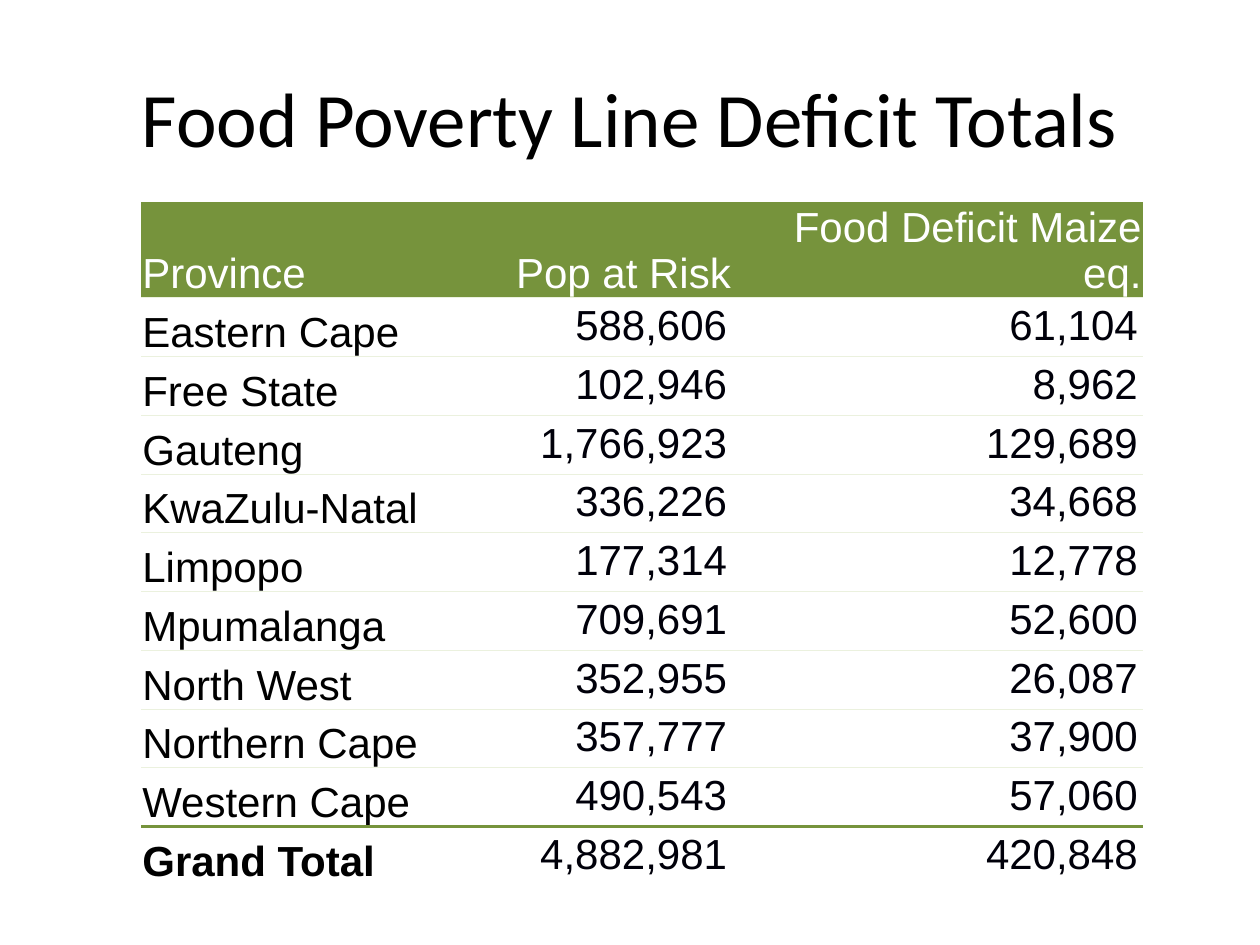
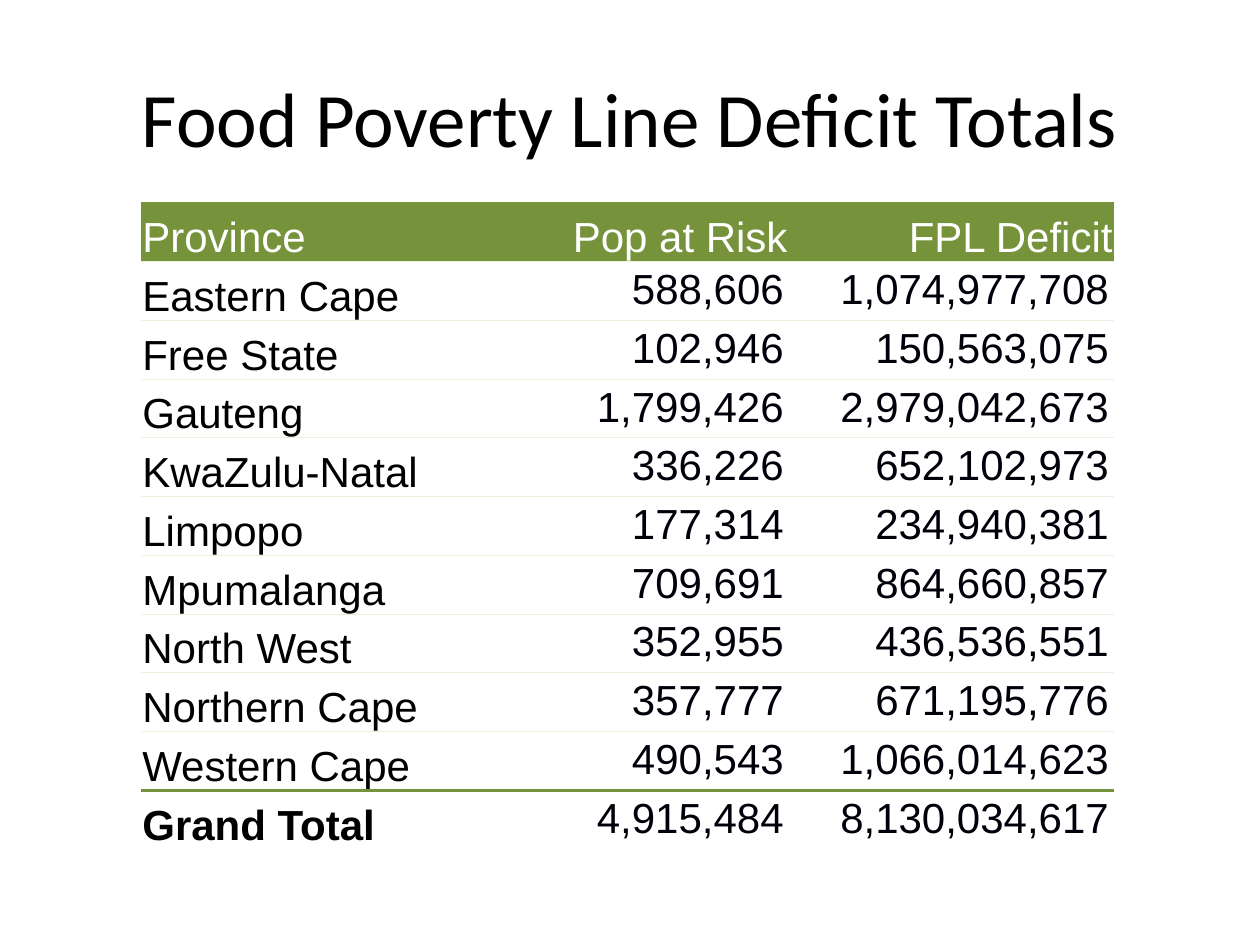
from dataclasses import dataclass

from lxml import etree
from pptx import Presentation
from pptx.dml.color import RGBColor
from pptx.enum.text import MSO_ANCHOR as ANCHOR, PP_ALIGN as ALIGN
from pptx.oxml.ns import qn
from pptx.util import Inches, Pt


@dataclass(frozen=True)
class Theme:
    title_font: str = "Calibri"
    table_font: str = "Arial"
    title_size: int = 44
    table_size: int = 24
    black: str = "000000"
    number: str = "00000A"
    white: str = "FFFFFF"
    green: str = "76933C"
    pale: str = "EBF1DE"
    hairline: float = 0.5
    rule: float = 2
    no_grid_style: str = "{2D5ABB26-0587-4C30-8999-92F81FD0307C}"


TITLE = "Food Poverty Line Deficit Totals"
PROVINCES = ["Eastern Cape", "Free State", "Gauteng", "KwaZulu-Natal", "Limpopo",
             "Mpumalanga", "North West", "Northern Cape", "Western Cape", "Grand Total"]

# Each slide: last column heading, column widths, population, deficit
SLIDES = [
    ("Food Deficit Maize eq.", (2.5, 2.19, 3.26),
     [588606, 102946, 1766923, 336226, 177314, 709691, 352955, 357777, 490543, 4882981],
     [61104, 8962, 129689, 34668, 12778, 52600, 26087, 37900, 57060, 420848]),
    ("FPL Deficit", (2.76, 2.38, 2.58),
     [588606, 102946, 1799426, 336226, 177314, 709691, 352955, 357777, 490543, 4915484],
     [1074977708, 150563075, 2979042673, 652102973, 234940381, 864660857, 436536551,
      671195776, 1066014623, 8130034617]),
]


def write(tf, text, *, font, size, color, align=ALIGN.LEFT, bold=False):
    p = tf.paragraphs[0]
    p.alignment = align
    r = p.add_run()
    r.text = text
    r.font.name, r.font.size, r.font.bold = font, Pt(size), bold
    r.font.color.rgb = RGBColor.from_string(color)


def set_border(cell, index, tag, color, width):
    """Add a solid border line; lines come first in the cell properties."""
    ln = etree.Element(qn(tag), w=str(Pt(width)))
    fill = etree.SubElement(ln, qn("a:solidFill"))
    etree.SubElement(fill, qn("a:srgbClr"), val=color)
    cell._tc.get_or_add_tcPr().insert(index, ln)


class Deck:
    def __init__(self, theme):
        self.theme = theme
        self.prs = Presentation()
        self.prs.slide_width, self.prs.slide_height = Inches(10), Inches(7.5)
        self.slide = None

    def add_slide(self, title):
        t = self.theme
        self.slide = self.prs.slides.add_slide(self.prs.slide_layouts[5])
        sp = self.slide.shapes.title
        sp.left, sp.top, sp.width, sp.height = map(Inches, (0, 0.3, 10, 1.25))
        sp.text_frame.vertical_anchor = ANCHOR.MIDDLE
        write(sp.text_frame, title, font=t.title_font, size=t.title_size,
              color=t.black, align=ALIGN.CENTER)

    def add_table(self, rows, widths):
        frame = self.slide.shapes.add_table(
            len(rows), len(widths), Inches(1.12), Inches(1.61),
            Inches(sum(widths)), Inches(5.13))
        table = frame.table
        table.first_row = table.horz_banding = False
        table._tbl.tblPr.find(qn("a:tableStyleId")).text = self.theme.no_grid_style
        for column, width in zip(table.columns, widths):
            column.width = Inches(width)
        for i, row in enumerate(rows):
            for j, text in enumerate(row):
                self.format_cell(table.cell(i, j), text, i, j, len(rows) - 1)

    def format_cell(self, cell, text, i, j, last):
        t = self.theme
        header, label = i == 0, j == 0
        # Headings and labels sit on the row's bottom edge, numbers hang from the top
        low = header or label
        cell.vertical_anchor = ANCHOR.BOTTOM if low else ANCHOR.TOP
        cell.margin_left = cell.margin_right = cell.margin_top = Inches(0.01 if low else 0.04)
        cell.margin_bottom = Inches(0 if low else 0.04)
        color = t.white if header else t.black if label else t.number
        write(cell.text_frame, text, font=t.table_font, size=t.table_size, color=color,
              align=ALIGN.LEFT if label else ALIGN.RIGHT, bold=label and i == last)

        # Fill and rules: green band on top, green line above the total
        if header:
            cell.fill.solid()
            cell.fill.fore_color.rgb = RGBColor.from_string(t.green)
        else:
            cell.fill.background()
        thin, thick = (t.pale, t.hairline), (t.green, t.rule)
        top = (t.green, t.hairline) if header else thick if i == last else thin
        set_border(cell, 0, "a:lnT", *top)
        if i < last:
            set_border(cell, 1, "a:lnB", *(thick if i == last - 1 else thin))


def main():
    deck = Deck(Theme())
    for heading, widths, population, deficit in SLIDES:
        deck.add_slide(TITLE)
        rows = [("Province", "Pop at Risk", heading)]
        rows += [(name, f"{pop:,}", f"{gap:,}")
                 for name, pop, gap in zip(PROVINCES, population, deficit)]
        deck.add_table(rows, widths)
    deck.prs.save("out.pptx")


if __name__ == "__main__":
    main()
